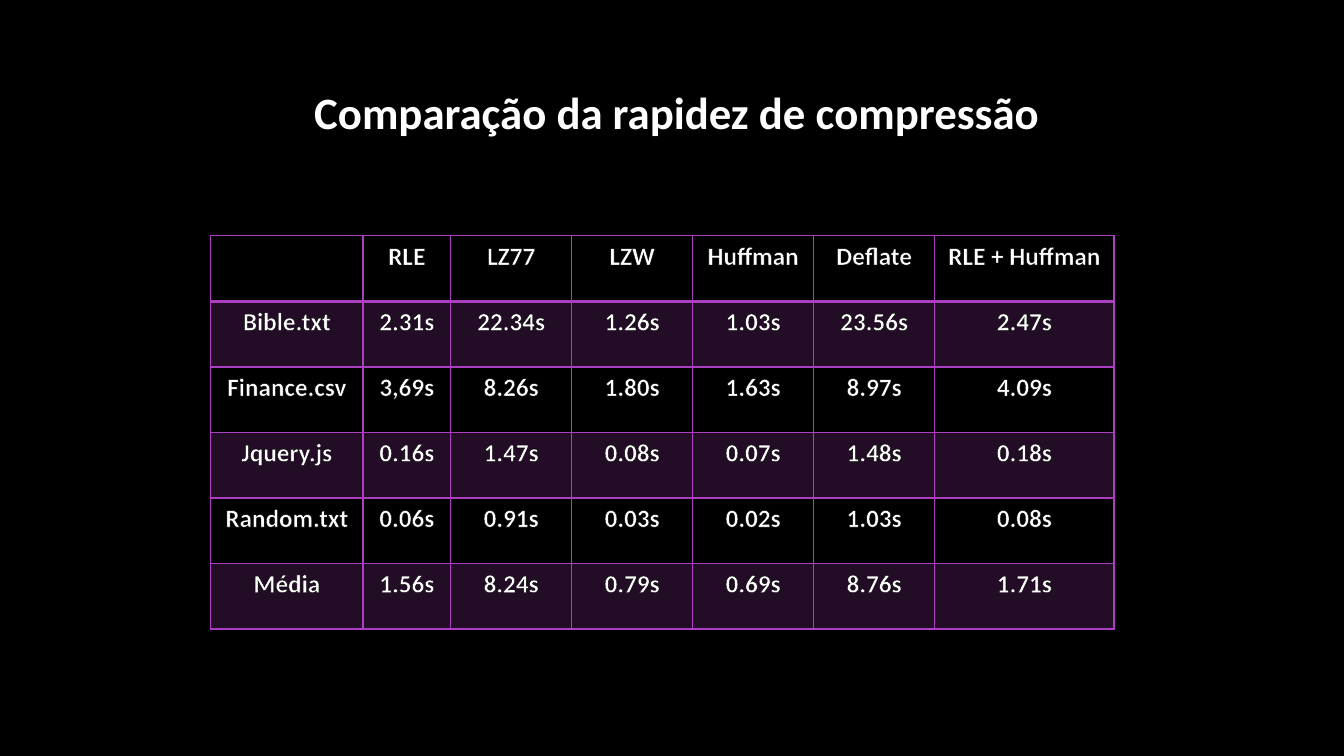
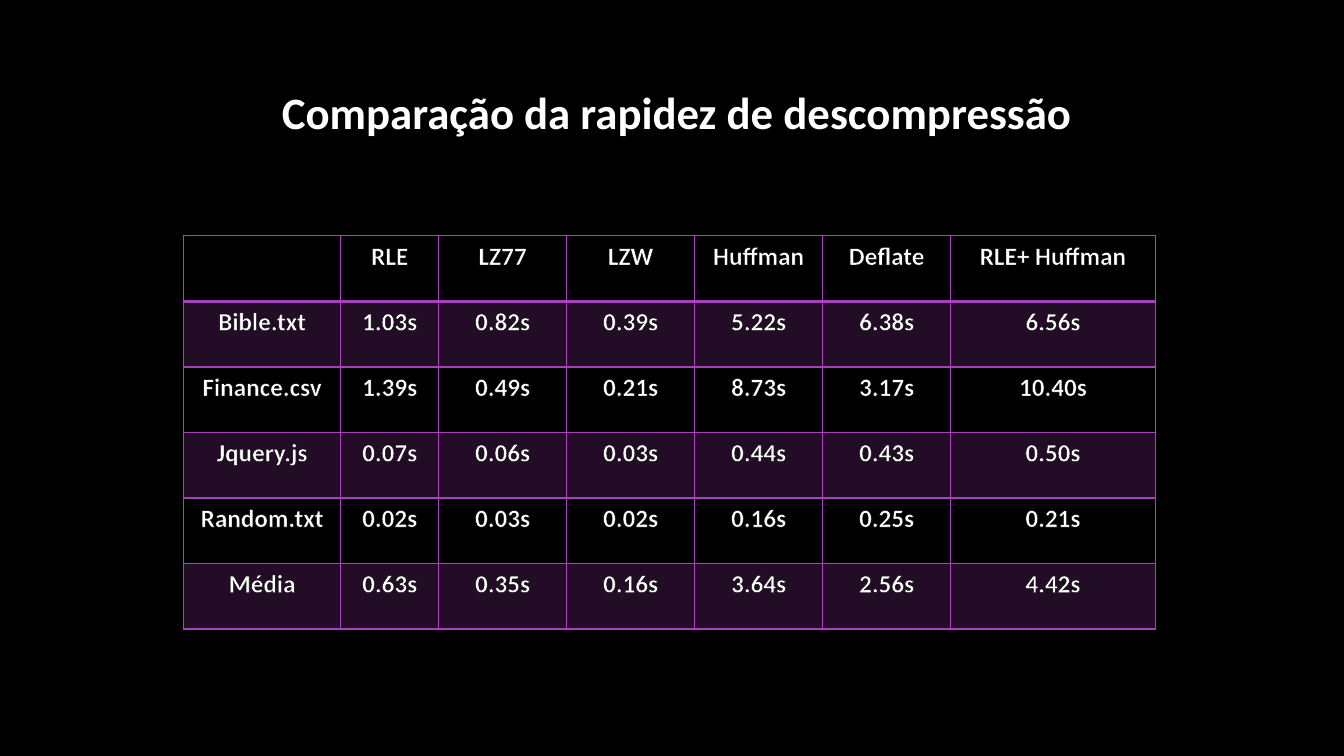
import pptx
import pptx.dml.color
import pptx.enum.text
import pptx.oxml
import pptx.oxml.ns
import pptx.util

# Lengths are px, 100 to the inch
PX = 9144
SLIDE_SIZE = (1333, 750)
TITLE_BOX = (143, 79, 1057, 64)
TABLE_TOP = 234
ROW_HEIGHT = 65

THEME = {
    "font": "Calibri",
    "background": "000000",
    "text": "FFFFFF",
    "accent": "AC3EC1",
    "band_opacity": 20,
    "title_size": 32,
    "cell_size": 18,
    "outline_width": 0.75,
    "border_width": 1,
    "header_border_width": 2,
}

PAGES = [
    {
        "title": "Comparação da rapidez de compressão",
        "left": 209,
        "columns": [151, 87, 120, 120, 120, 120, 178],
        "rows": [
            ["", "RLE", "LZ77", "LZW", "Huffman", "Deflate", "RLE + Huffman"],
            ["Bible.txt", "2.31s", "22.34s", "1.26s", "1.03s", "23.56s", "2.47s"],
            ["Finance.csv", "3,69s", "8.26s", "1.80s", "1.63s", "8.97s", "4.09s"],
            ["Jquery.js", "0.16s", "1.47s", "0.08s", "0.07s", "1.48s", "0.18s"],
            ["Random.txt", "0.06s", "0.91s", "0.03s", "0.02s", "1.03s", "0.08s"],
            ["Média", "1.56s", "8.24s", "0.79s", "0.69s", "8.76s", "1.71s"],
        ],
    },
    {
        "title": "Comparação da rapidez de descompressão",
        "left": 182,
        "columns": [156, 97, 127, 127, 127, 127, 203],
        "rows": [
            ["", "RLE", "LZ77", "LZW", "Huffman", "Deflate", "RLE+ Huffman"],
            ["Bible.txt", "1.03s", "0.82s", "0.39s", "5.22s", "6.38s", "6.56s"],
            ["Finance.csv", "1.39s", "0.49s", "0.21s", "8.73s", "3.17s", "10.40s"],
            ["Jquery.js", "0.07s", "0.06s", "0.03s", "0.44s", "0.43s", "0.50s"],
            ["Random.txt", "0.02s", "0.03s", "0.02s", "0.16s", "0.25s", "0.21s"],
            ["Média", "0.63s", "0.35s", "0.16s", "3.64s", "2.56s", "4.42s"],
        ],
    },
]


def color(name):
    return pptx.dml.color.RGBColor.from_string(THEME[name])


def set_attributes(target, values):
    for name, value in values.items():
        setattr(target, name, value)


def line_element(tag, color_name, points):
    """Make a solid line, for a cell border or a text outline."""
    return pptx.oxml.parse_xml(
        f'<a:{tag} {pptx.oxml.ns.nsdecls("a")} w="{pptx.util.Pt(points)}">'
        f'<a:solidFill><a:srgbClr val="{THEME[color_name]}"/></a:solidFill>'
        f'</a:{tag}>')


def write_text(frame, text, size):
    para = frame.paragraphs[0]
    para.alignment = pptx.enum.text.PP_ALIGN.CENTER
    span = para.add_run()
    span.text = text
    set_attributes(span.font, {
        "name": THEME["font"], "size": pptx.util.Pt(THEME[size]), "bold": True})
    span.font.color.rgb = color("text")
    return span


def fill_cell(cell, banded):
    if not banded:
        cell.fill.background()
        return
    cell.fill.solid()
    cell.fill.fore_color.rgb = color("accent")
    shade = cell._tc.tcPr.find(".//" + pptx.oxml.ns.qn("a:srgbClr"))
    shade.append(pptx.oxml.parse_xml(
        f'<a:alpha {pptx.oxml.ns.nsdecls("a")} val="{THEME["band_opacity"] * 1000}"/>'))


def draw_borders(cell, row):
    """Draw four borders; the line under the header row is thicker."""
    thick_side = {0: "lnB", 1: "lnT"}.get(row)
    for place, side in enumerate(["lnL", "lnR", "lnT", "lnB"]):
        width = "header_border_width" if side == thick_side else "border_width"
        cell._tc.tcPr.insert(place, line_element(side, "accent", THEME[width]))


def add_timing_table(slide, page):
    rows, columns = page["rows"], page["columns"]
    area = (page["left"], TABLE_TOP, sum(columns), ROW_HEIGHT * len(rows))
    table = slide.shapes.add_table(
        len(rows), len(columns), *(length * PX for length in area)).table
    set_attributes(table, {"first_row": False, "horz_banding": False})
    for column, width in zip(table.columns, columns):
        column.width = width * PX
    for row, texts in enumerate(rows):
        for column, text in enumerate(texts):
            cell = table.cell(row, column)
            fill_cell(cell, banded=row % 2 == 1)
            draw_borders(cell, row)
            if text:
                span = write_text(cell.text_frame, text, "cell_size")
                span.font._element.insert(
                    0, line_element("ln", "background", THEME["outline_width"]))


def add_page(deck, layout, page):
    slide = deck.slides.add_slide(layout)
    write_text(slide.shapes.title.text_frame, page["title"], "title_size")
    add_timing_table(slide, page)


def prepare_layout(deck):
    """Set the background and title place that all slides share."""
    background = deck.slide_master.background.fill
    background.solid()
    background.fore_color.rgb = color("background")
    layout = deck.slide_layouts.get_by_name("Title Only")
    title = layout.placeholders[0]
    set_attributes(title, dict(zip(
        ["left", "top", "width", "height"], (length * PX for length in TITLE_BOX))))
    set_attributes(title.text_frame, {
        "word_wrap": True,
        "vertical_anchor": pptx.enum.text.MSO_ANCHOR.TOP,
        "auto_size": pptx.enum.text.MSO_AUTO_SIZE.SHAPE_TO_FIT_TEXT})
    return layout


def main():
    deck = pptx.Presentation()
    deck.slide_width, deck.slide_height = (length * PX for length in SLIDE_SIZE)
    layout = prepare_layout(deck)
    for page in PAGES:
        add_page(deck, layout, page)
    deck.save("out.pptx")


if __name__ == "__main__":
    main()
